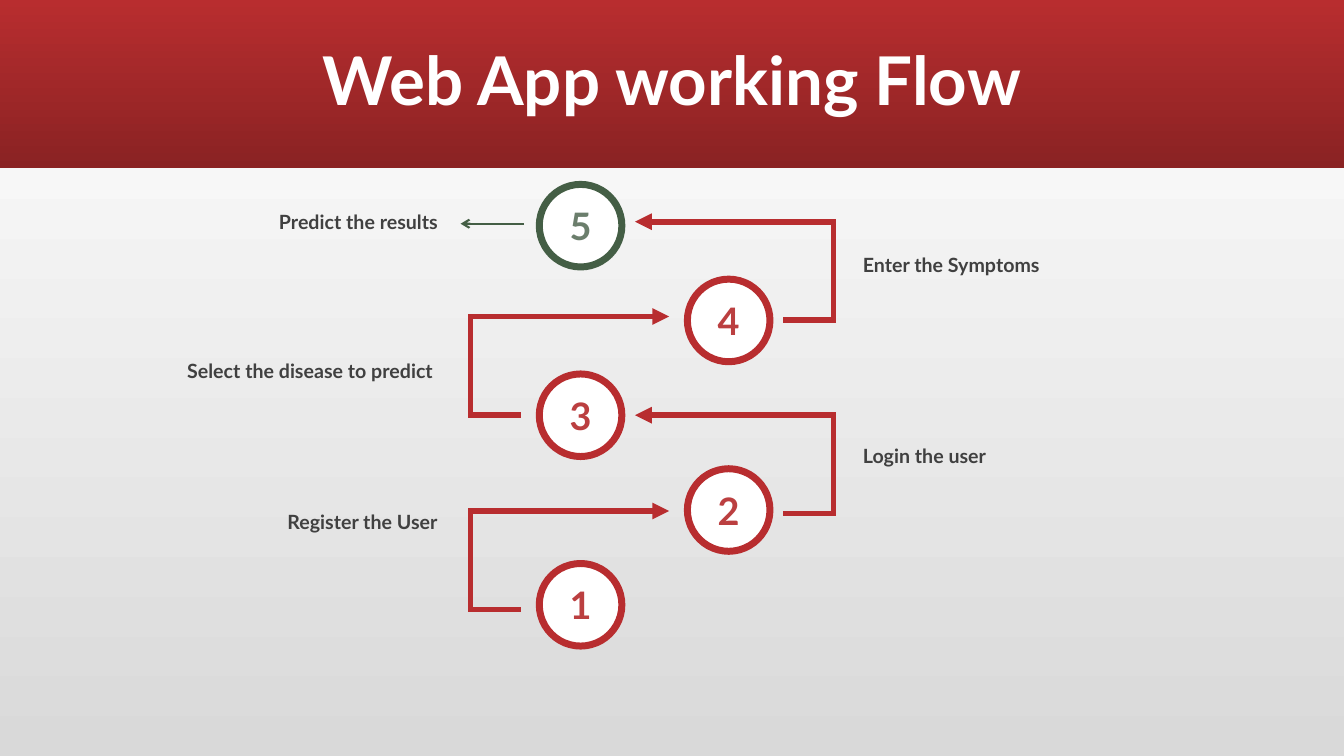
from lxml import etree
from pptx import Presentation
from pptx.dml.color import RGBColor
from pptx.enum import shapes, text
from pptx.oxml.ns import qn
from pptx.util import Pt

# Content: all lengths in points
TITLE = "Web App working Flow"
FONT = "Lato"
RED, GREEN, WHITE, GRAY = "B82D2F", "445E45", "FFFFFF", "404040"
RED_DIGIT, GREEN_DIGIT = "BB3F40", "6B7E6C"
STEPS = ["1", "2", "3", "4", "5"]

# Label, side of the flow, outer-box edge nearest the flow, top
LABELS = [
    ("Register the User", "left", 321.2, 360.7),
    ("Login the user", "right", 607.7, 313.9),
    ("Select the disease to predict", "left", 318, 252.7),
    ("Enter the Symptoms", "right", 607.7, 177.1),
    ("Predict the results", "left", 321.5, 146.2),
]
LABEL_WIDTH, LABEL_HEIGHT = 300, 24.5

# Circles alternate between two columns, climbing by a fixed step
CIRCLE_SIZE = 59
CIRCLE_COLUMNS = (385.2, 491)
FIRST_TOP, STEP_RISE = 402.5, 67.7

# Bracket arrows: tip, corner and tail positions for each side
BRACKETS = {"left": (478, 336.2, 372.2), "right": (453.6, 595.4, 559.4)}
BRACKET_TOPS = [("left", 365), ("right", 296.6), ("left", 226.1), ("right", 158.4)]
BRACKET_HEIGHT = 70.3


def color(value):
    return RGBColor.from_string(value)


def set_gradient(fill, start, end, angle):
    fill.gradient()
    fill.gradient_angle = angle
    for stop, value, position in zip(fill.gradient_stops, (start, end), (0, 1)):
        stop.color.rgb = color(value)
        stop.position = position


def set_line(shape, value, width):
    shape.line.color.rgb = color(value)
    shape.line.width = Pt(width)


def add_line_end(shape, end, kind):
    line = shape.line._get_or_add_ln()
    etree.SubElement(line, qn("a:miter"), lim="800000")
    etree.SubElement(line, qn("a:" + end), type=kind)


def write(shape, words, size, value, alignment):
    frame = shape.text_frame
    frame.text = words
    paragraph = frame.paragraphs[0]
    paragraph.alignment = alignment
    font = paragraph.runs[0].font
    font.name, font.size, font.bold = FONT, Pt(size), True
    font.color.rgb = color(value)
    return frame


def add_title(slide):
    band = slide.shapes.add_shape(shapes.MSO_SHAPE.RECTANGLE, 0, 0, Pt(960), Pt(120))
    band.shadow.inherit = False
    band.line.fill.background()
    set_gradient(band.fill, RED, "8A2223", 270)
    title = slide.shapes.title
    title._element.addprevious(band._element)
    title.left, title.top, title.width, title.height = Pt(84), Pt(8), Pt(792), Pt(104)
    frame = write(title, TITLE, 48, WHITE, text.PP_ALIGN.CENTER)
    frame.vertical_anchor = text.MSO_ANCHOR.MIDDLE
    frame.paragraphs[0].line_spacing = 0.9


def add_circle(slide, index, number):
    last = index == len(STEPS) - 1
    circle = slide.shapes.add_shape(
        shapes.MSO_SHAPE.OVAL, Pt(CIRCLE_COLUMNS[index % 2]),
        Pt(FIRST_TOP - index * STEP_RISE), Pt(CIRCLE_SIZE), Pt(CIRCLE_SIZE))
    circle.shadow.inherit = False
    circle.fill.solid()
    circle.fill.fore_color.rgb = color(WHITE)
    set_line(circle, GREEN if last else RED, 5)
    frame = write(circle, number, 27, GREEN_DIGIT if last else RED_DIGIT,
                  text.PP_ALIGN.CENTER)
    frame.vertical_anchor = text.MSO_ANCHOR.MIDDLE


def add_bracket(slide, side, top):
    tip, corner, tail = BRACKETS[side]
    bottom = top + BRACKET_HEIGHT
    builder = slide.shapes.build_freeform(Pt(tip), Pt(top))
    points = [(corner, top), (corner, bottom), (tail, bottom)]
    builder.add_line_segments([(Pt(x), Pt(y)) for x, y in points], close=False)
    bracket = builder.convert_to_shape()
    bracket.shadow.inherit = False
    bracket.fill.background()
    set_line(bracket, RED, 4)
    add_line_end(bracket, "headEnd", "triangle")


def add_label(slide, words, side, edge, top):
    on_left = side == "left"
    left = edge - LABEL_WIDTH if on_left else edge
    box = slide.shapes.add_textbox(Pt(left), Pt(top), Pt(LABEL_WIDTH), Pt(LABEL_HEIGHT))
    frame = write(box, words, 14, GRAY,
                  text.PP_ALIGN.RIGHT if on_left else text.PP_ALIGN.LEFT)
    frame.word_wrap = True
    frame.margin_left = frame.margin_right = Pt(8.64)
    frame.margin_top = frame.margin_bottom = Pt(3.6)


def add_result_arrow(slide):
    arrow = slide.shapes.add_connector(
        shapes.MSO_CONNECTOR.STRAIGHT, Pt(374.4), Pt(159.8), Pt(329), Pt(159.8))
    set_line(arrow, GREEN, 1.5)
    add_line_end(arrow, "tailEnd", "arrow")
    etree.SubElement(arrow._element.spPr, qn("a:effectLst"))


def main():
    presentation = Presentation()
    presentation.slide_width, presentation.slide_height = Pt(960), Pt(540)
    slide = presentation.slides.add_slide(presentation.slide_layouts[5])
    set_gradient(slide.background.fill, "D9D9D9", WHITE, 90)

    add_title(slide)
    for index, number in enumerate(STEPS):
        add_circle(slide, index, number)
    for side, top in BRACKET_TOPS:
        add_bracket(slide, side, top)
    for label in LABELS:
        add_label(slide, *label)
    add_result_arrow(slide)

    presentation.save("out.pptx")


if __name__ == "__main__":
    main()
